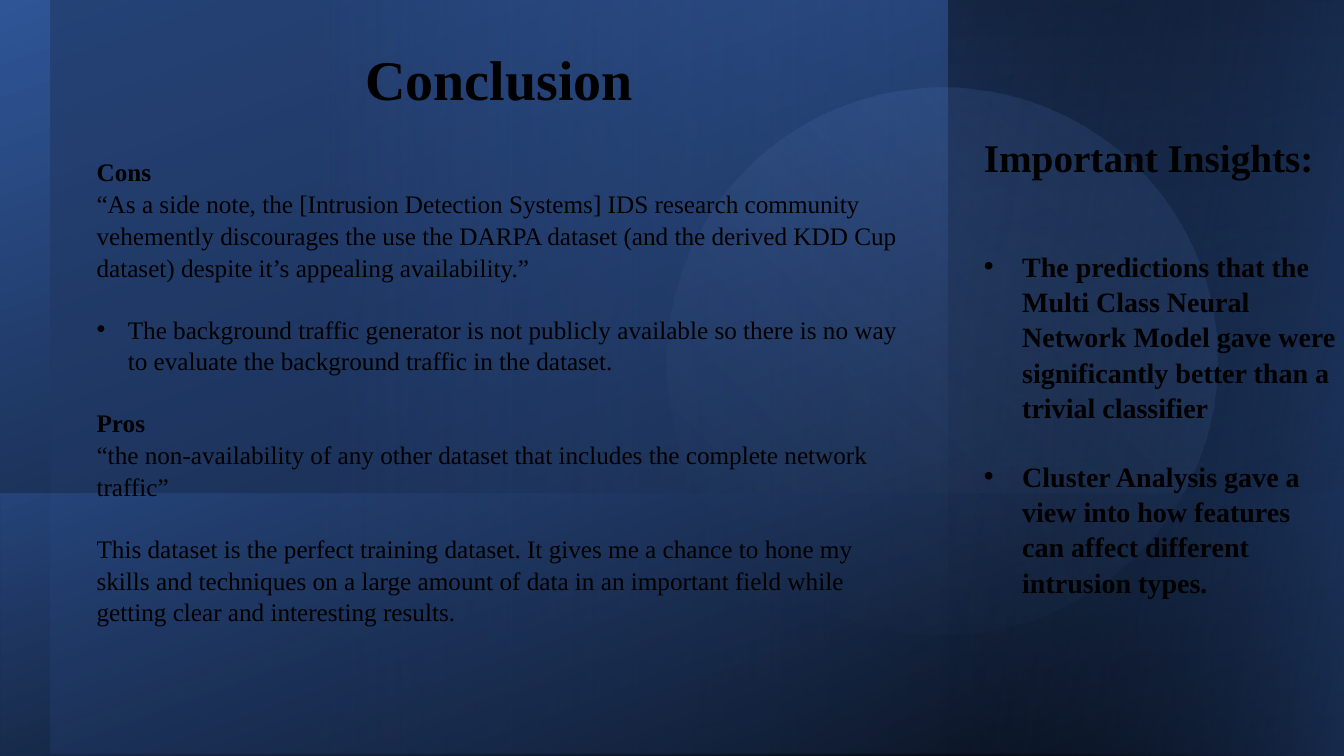
from dataclasses import dataclass

from lxml import etree
from pptx import Presentation
from pptx.dml.color import RGBColor
from pptx.enum.shapes import MSO_SHAPE as Preset
from pptx.enum.text import PP_ALIGN as Align
from pptx.oxml import parse_xml
from pptx.oxml.ns import nsdecls, qn
from pptx.slide import Slide
from pptx.util import Inches, Pt

FONT = "Times New Roman"
COLORS = {
    "black": "000000",
    "navy": "203864",
    "royal": "2F5597",
    "blue": "4472C4",
    "sky": "8FAADC",
}


@dataclass
class Stop:
    position: int
    color: str
    opacity: int = 100


@dataclass
class Panel:
    box: tuple[float, float, float, float]
    angle: int
    stops: tuple[Stop, Stop]
    preset: Preset = Preset.RECTANGLE
    rotation: float = 0
    flipped: bool = False


@dataclass
class Line:
    text: str
    size: int
    bold: bool = False
    space_before: float = 0
    bullet_indent: float = 0


@dataclass
class TextBlock:
    box: tuple[float, float, float, float]
    lines: tuple[Line, ...]
    align: Align = Align.LEFT
    line_spacing: float = 1.05


PANELS = (
    Panel((0, 0, 13.33, 7.5), 250, (Stop(0, "black"), Stop(100, "royal"))),
    Panel((0.5, 0, 12.85, 7.48), 0, (Stop(21, "navy", 61), Stop(100, "blue", 0)),
          rotation=180, flipped=True),
    Panel((9.41, 0, 3.95, 7.5), 270, (Stop(0, "royal", 0), Stop(99, "black", 41))),
    Panel((6.63, 0.85, 5.43, 5.46), 240, (Stop(0, "blue", 24), Stop(79, "sky", 0)),
          preset=Preset.OVAL, rotation=254.6),
    Panel((0.01, 4.9, 13.32, 2.6), 290, (Stop(0, "royal", 50), Stop(99, "black", 34)),
          rotation=180, flipped=True),
    Panel((7.62, 1.79, 7.5, 3.93), 260, (Stop(0, "royal", 50), Stop(99, "black", 0)),
          rotation=270, flipped=True),
)

BODY_GAP = 21.6
INSIGHT_GAP = 24

TEXT_BLOCKS = (
    TextBlock((3.45, 0.36, 3, 0.77), (Line("Conclusion", 40, bold=True),), Align.CENTER),
    TextBlock((9.66, 1.25, 3.69, 4.91), (
        Line("Important Insights:", 28, bold=True),
        Line("The predictions that the Multi Class Neural Network Model gave were "
             "significantly better than a trivial classifier",
             20, bold=True, space_before=2 * INSIGHT_GAP, bullet_indent=0.38),
        Line("Cluster Analysis gave a view into how features can affect different "
             "intrusion types.",
             20, bold=True, space_before=INSIGHT_GAP, bullet_indent=0.38),
    )),
    TextBlock((0.86, 1.49, 8.16, 4.64), (
        Line("Cons", 18, bold=True),
        Line("“As a side note, the [Intrusion Detection Systems] IDS research community "
             "vehemently discourages the use the DARPA dataset (and the derived KDD Cup "
             "dataset) despite it’s appealing availability.”", 18),
        Line("The background traffic generator is not publicly available so there is no "
             "way to evaluate the background traffic in the dataset.",
             18, space_before=BODY_GAP, bullet_indent=0.31),
        Line("Pros", 18, bold=True, space_before=BODY_GAP),
        Line("“the non-availability of any other dataset that includes the complete "
             "network traffic”", 18),
        Line("This dataset is the perfect training dataset. It gives me a chance to hone "
             "my skills and techniques on a large amount of data in an important field "
             "while getting clear and interesting results.", 18, space_before=BODY_GAP),
    )),
)


def gradient_xml(panel: Panel) -> str:
    stops = "".join(
        f'<a:gs pos="{stop.position * 1000}"><a:srgbClr val="{COLORS[stop.color]}">'
        f'<a:alpha val="{stop.opacity * 1000}"/></a:srgbClr></a:gs>'
        for stop in panel.stops
    )
    return (
        f'<a:gradFill rotWithShape="1" {nsdecls("a")}><a:gsLst>{stops}</a:gsLst>'
        f'<a:lin ang="{panel.angle * 60000}" scaled="0"/></a:gradFill>'
    )


def add_panel(slide: Slide, panel: Panel) -> None:
    shape = slide.shapes.add_shape(panel.preset, *map(Inches, panel.box))
    shape.shadow.inherit = False
    shape.line.fill.background()
    shape.rotation = panel.rotation
    properties = shape._element.spPr
    if panel.flipped:
        properties.find(qn("a:xfrm")).set("flipH", "1")
    properties.find(qn("a:prstGeom")).addnext(parse_xml(gradient_xml(panel)))


def add_text_block(slide: Slide, block: TextBlock) -> None:
    text_frame = slide.shapes.add_textbox(*map(Inches, block.box)).text_frame
    text_frame.word_wrap = True
    for index, line in enumerate(block.lines):
        paragraph = text_frame.add_paragraph() if index else text_frame.paragraphs[0]
        paragraph.text = line.text
        paragraph.alignment = block.align
        paragraph.line_spacing = block.line_spacing
        paragraph.space_before = Pt(line.space_before)
        font = paragraph.runs[0].font
        font.name = FONT
        font.size = Pt(line.size)
        font.bold = line.bold
        font.color.rgb = RGBColor.from_string(COLORS["black"])
        if line.bullet_indent:
            properties = paragraph._p.get_or_add_pPr()
            indent = Inches(line.bullet_indent)
            properties.set("marL", str(indent))
            properties.set("indent", str(-indent))
            etree.SubElement(properties, qn("a:buFont")).set("typeface", "Arial")
            etree.SubElement(properties, qn("a:buChar")).set("char", "•")


def main() -> None:
    presentation = Presentation()
    presentation.slide_width = Inches(13.33)
    presentation.slide_height = Inches(7.5)
    slide = presentation.slides.add_slide(presentation.slide_layouts[6])
    for panel in PANELS:
        add_panel(slide, panel)
    for block in TEXT_BLOCKS:
        add_text_block(slide, block)
    presentation.save("out.pptx")


if __name__ == "__main__":
    main()
